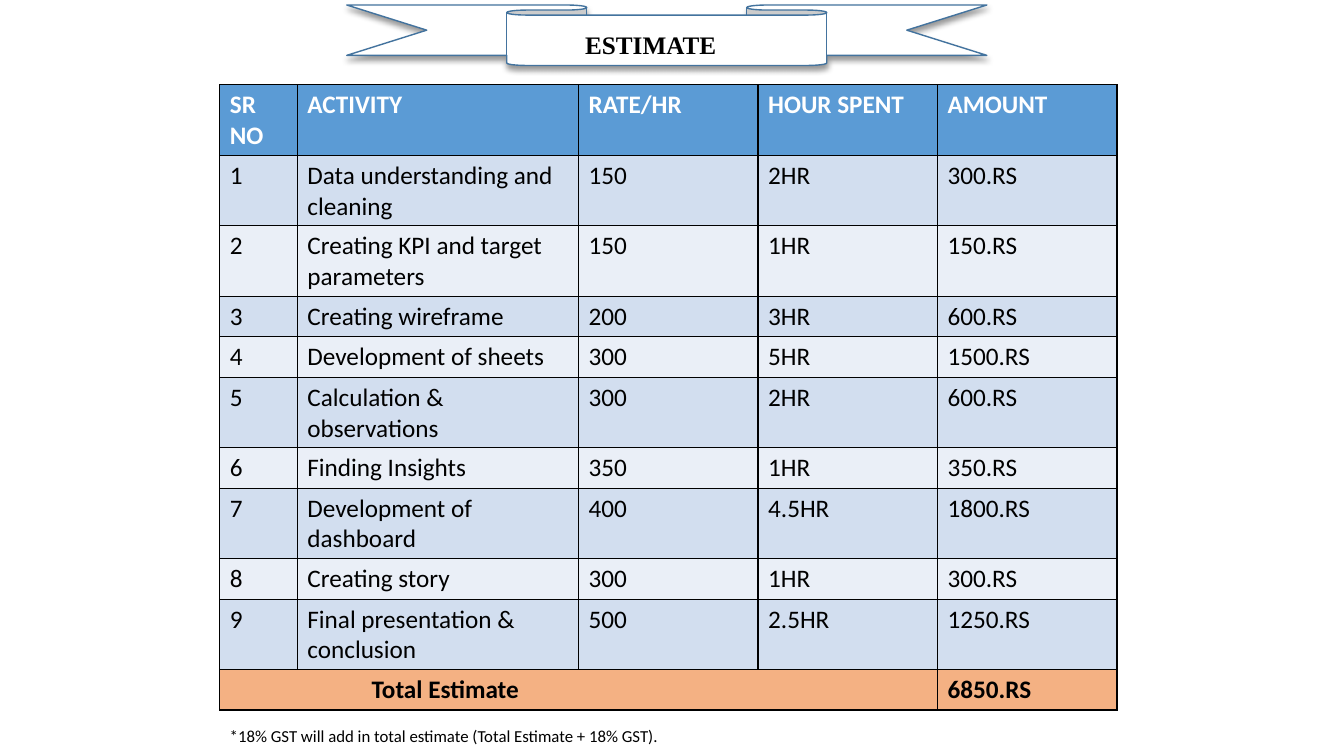
from lxml import etree
from pptx import Presentation
from pptx.dml.color import RGBColor
from pptx.enum import shapes, text
from pptx.oxml import ns
from pptx.util import Pt

TITLE = "ESTIMATE"
HEAD = ("SR NO", "ACTIVITY", "RATE/HR", "HOUR SPENT", "AMOUNT")
TASKS = [
    ("Data understanding and cleaning", "150", "2HR", "300.RS"),
    ("Creating KPI and target parameters", "150", "1HR", "150.RS"),
    ("Creating wireframe", "200", "3HR", "600.RS"),
    ("Development of sheets", "300", "5HR", "1500.RS"),
    ("Calculation & observations", "300", "2HR", "600.RS"),
    ("Finding Insights", "350", "1HR", "350.RS"),
    ("Development of dashboard", "400", "4.5HR", "1800.RS"),
    ("Creating story", "300", "1HR", "300.RS"),
    ("Final presentation & conclusion", "500", "2.5HR", "1250.RS"),
]
TOTAL = ("Total Estimate", "", "", "", "6850.RS")
NOTE = "*18% GST will add in total estimate (Total Estimate + 18% GST)."

THEME = {
    "head": "5B9BD5", "bands": ("D2DEEF", "EAEFF7"), "total": "F4B183",
    "white": "FFFFFF", "black": "000000", "edge": "43739E",
    "body": "Calibri", "serif": "Times New Roman", "size": 18, "small": 12,
}
WIDTHS = (55.4, 200.9, 128.2, 128.2, 128.2)
TALL, SHORT = 50.4, 28.8
WRAPPED = {0, 1, 2, 5, 7, 9}
LEFT, TOP = 157, 60.5
INDENT = 108.5


def color(name):
    return RGBColor.from_string(name)


def style(para, face, size, ink, bold=False):
    font = para.font
    font.name, font.size, font.bold = face, Pt(size), bold
    font.color.rgb = color(ink)


def add_text(slide, box, words, face, size, bold=False, align=None):
    frame = slide.shapes.add_textbox(*map(Pt, box)).text_frame
    frame.word_wrap = True
    frame.auto_size = text.MSO_AUTO_SIZE.SHAPE_TO_FIT_TEXT
    para = frame.paragraphs[0]
    para.text, para.alignment = words, align
    style(para, face, size, THEME["black"], bold)


def add_ribbon(slide):
    box = map(Pt, (247.7, 3.6, 457.2, 43.2))
    ribbon = slide.shapes.add_shape(shapes.MSO_SHAPE.DOWN_RIBBON, *box)
    ribbon.shadow.inherit = False
    ribbon.fill.solid()
    ribbon.fill.fore_color.rgb = color(THEME["white"])
    ribbon.line.color.rgb = color(THEME["edge"])
    ribbon.line.width = Pt(1)
    effects = ribbon.element.spPr.find(ns.qn("a:effectLst"))
    shade = etree.SubElement(
        effects, ns.qn("a:outerShdw"), blurRad=str(Pt(4)), dist=str(Pt(3)),
        dir="5400000", algn="t", rotWithShape="0")
    ink = etree.SubElement(shade, ns.qn("a:srgbClr"), val=THEME["black"])
    etree.SubElement(ink, ns.qn("a:alpha"), val="40000")


def add_edges(cell):
    props = cell._tc.get_or_add_tcPr()
    for side in ("lnL", "lnR", "lnT", "lnB"):
        line = etree.SubElement(props, ns.qn("a:" + side), w=str(Pt(1)))
        fill = etree.SubElement(line, ns.qn("a:solidFill"))
        etree.SubElement(fill, ns.qn("a:srgbClr"), val=THEME["black"])


def add_grid(slide):
    rows = [HEAD]
    rows += [(str(n), *task) for n, task in enumerate(TASKS, 1)]
    rows.append(TOTAL)
    last = len(rows) - 1
    highs = [TALL if n in WRAPPED else SHORT for n in range(len(rows))]
    box = map(Pt, (LEFT, TOP, sum(WIDTHS), sum(highs)))
    grid = slide.shapes.add_table(len(rows), len(HEAD), *box).table
    for col, width in zip(grid.columns, WIDTHS):
        col.width = Pt(width)
    for r, row in enumerate(rows):
        grid.rows[r].height = Pt(highs[r])
        if r == 0:
            back = THEME["head"]
        elif r == last:
            back = THEME["total"]
        else:
            back = THEME["bands"][(r - 1) % 2]
        ink = THEME["white"] if r == 0 else THEME["black"]
        for c, words in enumerate(row):
            cell = grid.cell(r, c)
            add_edges(cell)
            cell.fill.solid()
            cell.fill.fore_color.rgb = color(back)
            para = cell.text_frame.paragraphs[0]
            para.text = words
            style(para, THEME["body"], THEME["size"], ink, r in (0, last))
    label = grid.cell(last, 0)
    label.merge(grid.cell(last, 3))
    label.margin_left = Pt(INDENT)


def main():
    deck = Presentation()
    deck.slide_width, deck.slide_height = Pt(960), Pt(540)
    slide = deck.slides.add_slide(deck.slide_layouts[6])
    add_ribbon(slide)
    add_text(slide, (348.5, 17.3, 232.6, 28.8), TITLE, THEME["serif"],
             THEME["size"], True, text.PP_ALIGN.CENTER)
    add_grid(slide)
    add_text(slide, (LEFT, 514.8, 627.8, 21.6), NOTE, THEME["body"],
             THEME["small"])
    deck.save("out.pptx")


if __name__ == "__main__":
    main()
